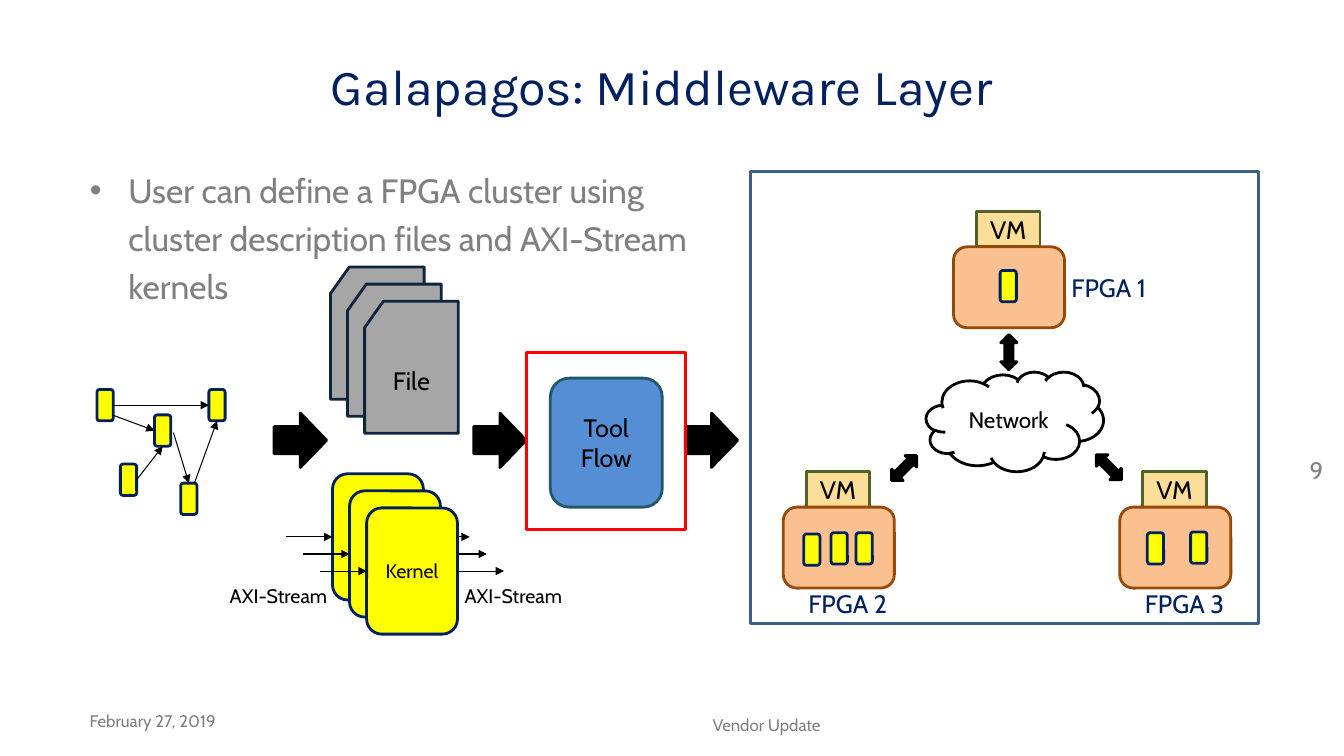
from lxml import etree
from pptx import Presentation
from pptx.dml.color import RGBColor
from pptx.enum.shapes import MSO_CONNECTOR, MSO_SHAPE
from pptx.enum.text import MSO_ANCHOR, MSO_AUTO_SIZE, PP_ALIGN
from pptx.oxml.ns import qn
from pptx.util import Cm, Pt

RECT, ROUND = MSO_SHAPE.RECTANGLE, MSO_SHAPE.ROUNDED_RECTANGLE
CARD, CLOUD = MSO_SHAPE.FLOWCHART_CARD, MSO_SHAPE.CLOUD
RIGHT_ARROW, UP_DOWN_ARROW = MSO_SHAPE.RIGHT_ARROW, MSO_SHAPE.UP_DOWN_ARROW
LEFT, CENTER, RIGHT = PP_ALIGN.LEFT, PP_ALIGN.CENTER, PP_ALIGN.RIGHT
TOP, MIDDLE = MSO_ANCHOR.TOP, MSO_ANCHOR.MIDDLE
SIDE_TOP, SIDE_LEFT, SIDE_BOTTOM, SIDE_RIGHT = range(4)

COLORS = {name: RGBColor.from_string(value) for name, value in {
    "black": "000000", "white": "FFFFFF", "navy": "002060", "grey": "808080",
    "yellow": "FFFF00", "red": "FF0000", "sand": "FDDE98", "olive": "4F6228",
    "peach": "FAC090", "brown": "984807", "blue": "558ED5", "teal": "215968",
    "file": "A6A6A6", "ink": "0F243E", "frame": "3A5F8C",
}.items()}

deck = Presentation()
deck.slide_width, deck.slide_height = Cm(33.87), Cm(19.05)
page = deck.slides.add_slide(deck.slide_layouts[1])


def add_box(kind, left, top, width, height, fill, line, text="", size=18):
    box = page.shapes.add_shape(kind, Cm(left), Cm(top), Cm(width), Cm(height))
    box.shadow.inherit = False
    if fill:
        box.fill.solid()
        box.fill.fore_color.rgb = COLORS[fill]
    else:
        box.fill.background()
    box.line.color.rgb = COLORS[line]
    box.line.width = Pt(2)
    if text:
        box.text_frame.vertical_anchor = MIDDLE
        para = box.text_frame.paragraphs[0]
        para.alignment = CENTER
        span = para.add_run()
        span.text = text
        span.font.name, span.font.size = "Cabin", Pt(size)
        span.font.color.rgb = COLORS["black"]
    return box


def add_arrow(start, end, source=None, target=None):
    """Draw a thin arrow; source and target are (shape, side) pairs to join."""
    arrow = page.shapes.add_connector(MSO_CONNECTOR.STRAIGHT, *map(Cm, start + end))
    arrow.line.color.rgb = COLORS["black"]
    arrow.line.width = Pt(0.75)
    etree.SubElement(arrow.line._get_or_add_ln(), qn("a:tailEnd"), type="triangle")
    etree.SubElement(arrow._element.spPr, qn("a:effectLst"))
    if source:
        arrow.begin_connect(*source)
    if target:
        arrow.end_connect(*target)


# Cluster: each board has a VM on top, kernels at offsets and a label
add_box(RECT, 18.92, 4.32, 12.8, 11.4, None, "frame")
boards = [
    ("FPGA 1", 24.03, 6.22, [(1.38, 0.99)], (2.72, 0.51)),
    ("FPGA 2", 19.74, 12.78, [(0.72, 1.07), (1.41, 1.04), (2.04, 1.04)], (0.38, 1.92)),
    ("FPGA 3", 28.22, 12.78, [(0.9, 1.04), (1.99, 1.02)], (0.38, 1.92)),
]
CHIP_W, CHIP_H = 0.41, 0.79
labels = []
for name, left, top, chips, (label_x, label_y) in boards:
    add_box(RECT, left + 0.58, top - 0.89, 1.6, 0.89, "sand", "olive", "VM")
    add_box(ROUND, left, top, 2.8, 2.04, "peach", "brown")
    for x, y in chips:
        add_box(ROUND, left + x - CHIP_W / 2, top + y - CHIP_H / 2,
                CHIP_W, CHIP_H, "yellow", "navy")
    labels.append((name, left + label_x, top + label_y))

add_box(CLOUD, 23.34, 9.37, 4.47, 2.51, "white", "black", "Network", 16)
for left, top, angle in [(25.22, 8.43, 0), (22.58, 11.35, 45), (27.74, 11.33, 315)]:
    add_box(UP_DOWN_ARROW, left, top, 0.41, 0.89, "black", "black").rotation = angle

# Tool flow
for left in (6.91, 11.94, 17.27):
    add_box(RIGHT_ARROW, left, 10.41, 1.32, 1.37, "black", "black")
add_box(ROUND, 13.87, 9.53, 2.82, 3.25, "blue", "teal", "Tool Flow")
add_box(RECT, 13.26, 8.89, 4.01, 4.45, None, "red")

# Stacks of kernels and files, the front one named
for step, (kernel_text, file_text) in enumerate([("", ""), ("", ""), ("Kernel", "File")]):
    shift = step * 0.43
    left, top = 8.38 + shift, 11.94 + shift
    kernel = add_box(ROUND, left, top, 2.29, 3.18, "yellow", "navy", kernel_text, 14)
    middle, right = top + 1.59, left + 2.29
    add_arrow((left - 1.17, middle), (left, middle), target=(kernel, SIDE_LEFT))
    add_arrow((right, middle), (right + 1.17, middle), source=(kernel, SIDE_RIGHT))
    add_box(CARD, 8.33 + shift, 6.73 + shift, 2.36, 3.33, "file", "ink", file_text)

# Kernel graph
centers = {"A": (2.65, 10.21), "B": (4.1, 10.85), "C": (3.24, 12.09),
           "D": (5.47, 10.21), "E": (4.76, 12.57)}
nodes = {key: add_box(ROUND, x - CHIP_W / 2, y - CHIP_H / 2, CHIP_W, CHIP_H,
                      "yellow", "navy") for key, (x, y) in centers.items()}
edges = [
    ((2.86, 10.21), ("A", SIDE_RIGHT), ("D", SIDE_LEFT)),
    ((3.45, 12.09), ("C", SIDE_RIGHT), ("B", SIDE_BOTTOM)),
    ((2.84, 10.46), None, ("B", SIDE_LEFT)),
    ((4.9, 12.17), None, ("D", SIDE_BOTTOM)),
    ((4.37, 10.9), None, ("E", SIDE_TOP)),
]
for start, source, (end_key, end_side) in edges:
    joined = (nodes[source[0]], source[1]) if source else None
    add_arrow(start, centers[end_key], joined, (nodes[end_key], end_side))

# Title, body and free text
title, body = page.shapes.title, page.placeholders[1]
texts = [
    (title, "Galapagos: Middleware Layer", (2.01, 0.76, 29.34, 2.77),
     "Karla", 36, "navy", CENTER, MIDDLE, True),
    (body, "User can define a FPGA cluster using cluster description files and "
     "AXI-Stream kernels", (2.01, 3.94, 16.94, 3.73),
     "Cabin", 24, "grey", LEFT, TOP, True),
    (None, "February 27, 2019", (2.01, 17.65, 5.33, 1.02),
     "Cabin", 12, "grey", LEFT, MIDDLE, True),
    (None, "Vendor Update", (7.85, 17.75, 22.94, 1.02),
     "Cabin", 12, "grey", CENTER, MIDDLE, True),
]
texts += [(None, "AXI-Stream", (left, 14.58, 3.45, 0.86),
           "Cabin", 14, "black", LEFT, TOP, True) for left in (5.54, 11.46)]
texts += [(None, name, (left, top, 2.54, 1.02),
           "Cabin", 18, "navy", LEFT, TOP, False) for name, left, top in labels]
texts.append((None, "9", (32.41, 8.92, 1.19, 3.4),
              "Cabin", 17, "grey", RIGHT, MIDDLE, True))

for holder, text, place, font, size, color, align, anchor, wrap in texts:
    box = holder or page.shapes.add_textbox(0, 0, 0, 0)
    box.left, box.top, box.width, box.height = map(Cm, place)
    frame = box.text_frame
    for key, value in {"word_wrap": wrap, "vertical_anchor": anchor,
                       "auto_size": MSO_AUTO_SIZE.NONE}.items():
        setattr(frame, key, value)
    para = frame.paragraphs[0]
    para.alignment = align
    span = para.add_run()
    span.text = text
    for key, value in {"name": font, "size": Pt(size)}.items():
        setattr(span.font, key, value)
    span.font.color.rgb = COLORS[color]

# The page number, added last, is set vertically
frame._txBody.bodyPr.set("vert", "wordArtVert")

bullet = body.text_frame.paragraphs[0]
bullet.line_spacing, bullet.space_before = 1.2, Pt(4.8)
for key, value in {"marL": Cm(0.97), "indent": -Cm(0.97)}.items():
    bullet._p.get_or_add_pPr().set(key, str(value))

deck.save("out.pptx")
